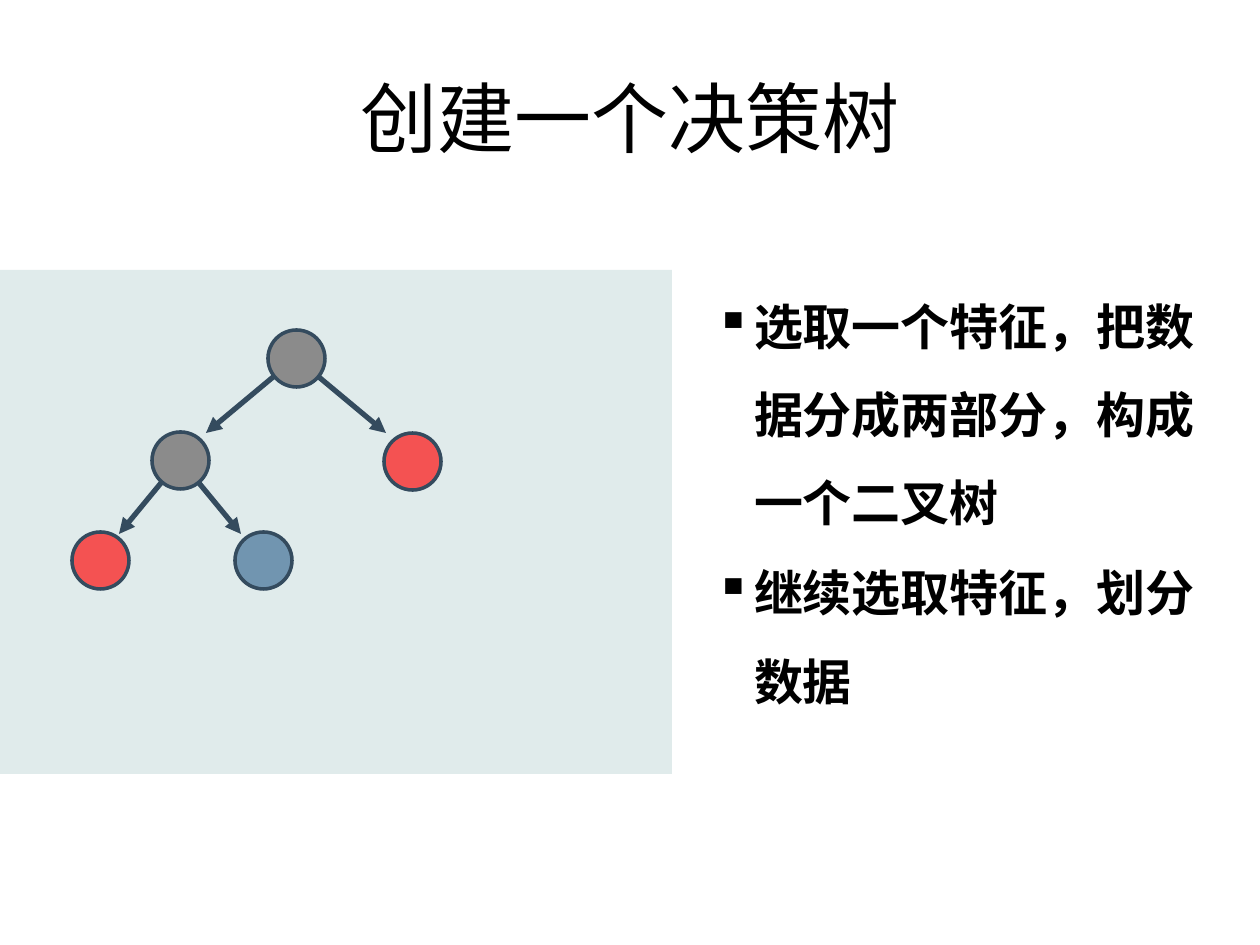
from lxml.etree import SubElement
from pptx import Presentation
from pptx.dml.color import RGBColor as RGB
from pptx.enum.shapes import MSO_CONNECTOR as CONNECTOR, MSO_SHAPE as SHAPE
from pptx.enum.text import MSO_ANCHOR as ANCHOR, PP_ALIGN as ALIGN
from pptx.oxml.ns import qn
from pptx.util import Emu, Pt

PX = 914400 // 126
COLORS = {
    "panel": "E0EBEB",
    "outline": "344B5E",
    "split": "8B8B8B",
    "red": "FF0000",
    "blue": "7195B0",
    "text": "000000",
}


def px(*lengths):
    return [Emu(length * PX) for length in lengths]


def set_all(target, values):
    for name, value in values.items():
        setattr(target, name, value)


class TreeSlide:
    """Holds the style and the slide being drawn."""

    node_size = 57
    node_line = Pt(2.04)
    edge_line = Pt(3)

    def __init__(self, deck):
        self.slide = deck.slides.add_slide(deck.slide_layouts[6])
        self.shapes = self.slide.shapes

    def color(self, name):
        return RGB.from_string(COLORS[name])

    def shape(self, kind, box, fill, opacity=100):
        shape = self.shapes.add_shape(kind, *px(*box))
        shape.shadow.inherit = False
        shape.fill.solid()
        shape.fill.fore_color.rgb = self.color(fill)
        if opacity < 100:
            tint = shape.fill._xPr.find(".//" + qn("a:srgbClr"))
            SubElement(tint, qn("a:alpha"), val=str(opacity * 1000))
        return shape

    def panel(self, *box):
        self.shape(SHAPE.RECTANGLE, box, "panel").line.fill.background()

    def node(self, center, fill, opacity=100):
        left, top = (value - self.node_size // 2 for value in center)
        box = left, top, self.node_size, self.node_size
        line = self.shape(SHAPE.OVAL, box, fill, opacity).line
        line.color.rgb = self.color("outline")
        line.width = self.node_line

    def edge(self, parent, tip):
        arrow = self.shapes.add_connector(CONNECTOR.STRAIGHT, *px(*parent, *tip))
        arrow.line.color.rgb = self.color("outline")
        arrow.line.width = self.edge_line
        properties = arrow._element.spPr
        SubElement(properties.find(qn("a:ln")), qn("a:tailEnd"), type="triangle")
        SubElement(properties, qn("a:effectLst"))

    def text(self, box, paragraphs, font, frame=None, layout=None, bullet=None):
        text_frame = self.shapes.add_textbox(*px(*box)).text_frame
        set_all(text_frame, {"word_wrap": True, **(frame or {})})
        text_frame.text = "\n".join(paragraphs)
        for paragraph in text_frame.paragraphs:
            set_all(paragraph, layout or {})
            set_all(paragraph.runs[0].font, font)
            paragraph.runs[0].font.color.rgb = self.color("text")
            if bullet:
                properties = paragraph._p.get_or_add_pPr()
                indent, hanging = px(*bullet["indent"])
                properties.set("marL", str(indent))
                properties.set("indent", str(-hanging))
                SubElement(properties, qn("a:buChar"), char=bullet["mark"])


def main():
    deck = Presentation()
    set_all(deck, dict(zip(("slide_width", "slide_height"), px(1260, 945))))
    tree = TreeSlide(deck)

    # Decision tree: edges lie under the nodes
    tree.panel(0, 270, 672, 504)
    root, branch = (296, 358), (180, 460)
    tips = {root: [(206, 433), (386, 433)], branch: [(119, 534), (241, 534)]}
    for parent, children in tips.items():
        for tip in children:
            tree.edge(parent, tip)
    tree.node(root, "split")
    tree.node(branch, "split")
    for leaf in [(412, 461), (100, 560)]:
        tree.node(leaf, "red", opacity=65)
    tree.node((263, 560), "blue")

    # Title
    tree.text(
        (63, 38, 1134, 158),
        ["创建一个决策树"],
        {"name": "Calibri", "size": Pt(44)},
        frame={"vertical_anchor": ANCHOR.MIDDLE},
        layout={"alignment": ALIGN.CENTER},
    )

    # Steps
    tree.text(
        (712, 266, 485, 437),
        ["选取一个特征，把数据分成两部分，构成一个二叉树", "继续选取特征，划分数据"],
        {"name": "Roboto", "size": Pt(28), "bold": True},
        frame={"margin_left": 0, "margin_top": px(1)[0],
               "margin_right": 0, "margin_bottom": 0},
        layout={"line_spacing": 1.5, "space_before": Pt(1)},
        bullet={"mark": "▪", "indent": (42, 39)},
    )

    deck.save("out.pptx")


if __name__ == "__main__":
    main()
